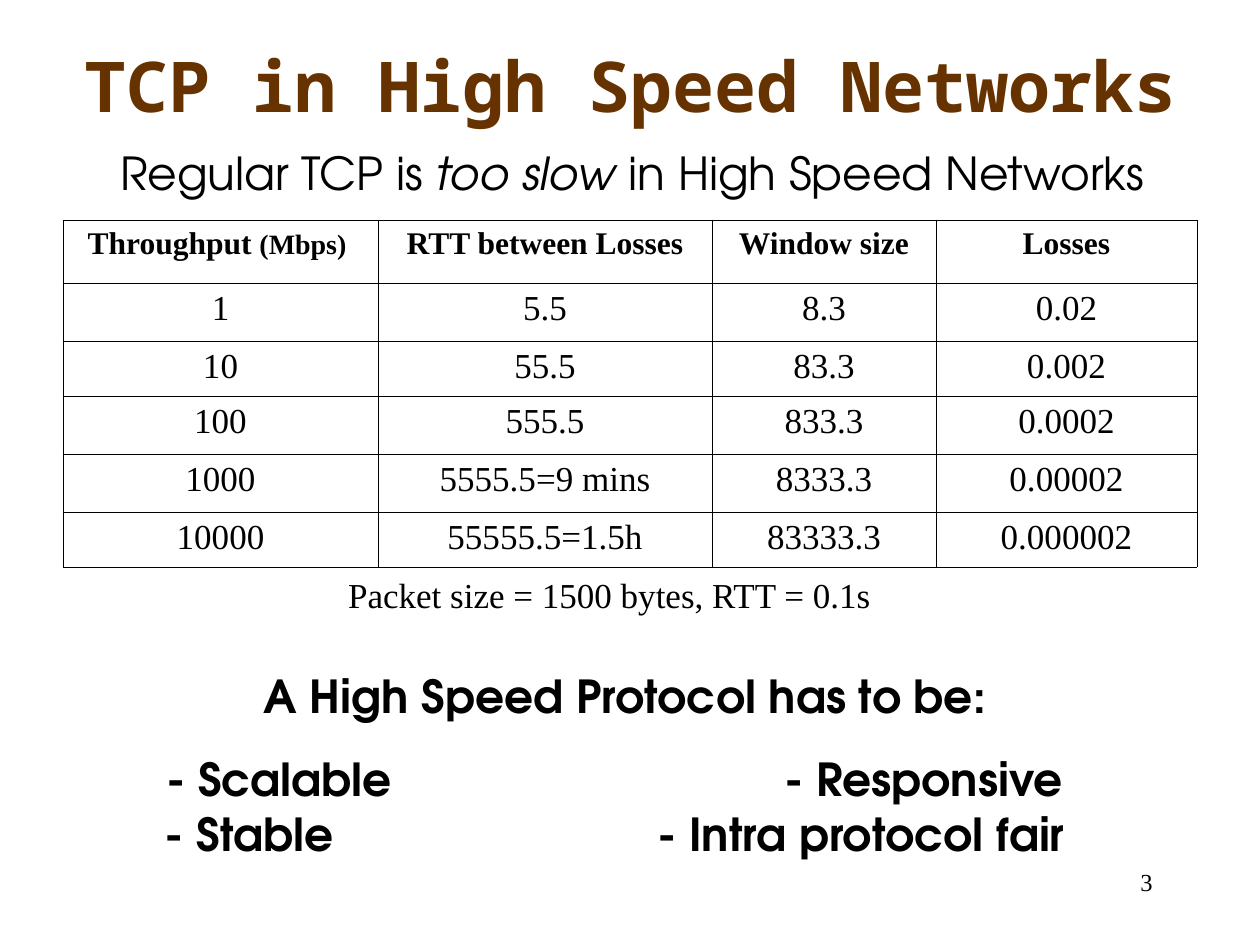
from lxml import etree
from pptx import Presentation
from pptx.dml.color import RGBColor
from pptx.enum.text import MSO_ANCHOR, PP_ALIGN
from pptx.oxml.ns import qn
from pptx.util import Pt

LEFT, CENTER, RIGHT = PP_ALIGN.LEFT, PP_ALIGN.CENTER, PP_ALIGN.RIGHT
MIDDLE, TOP = MSO_ANCHOR.MIDDLE, MSO_ANCHOR.TOP
TITLE_ONLY = 5
PX_PER_INCH = 126
MONO, SANS, SERIF = "Noto Sans Mono", "TeX Gyre Adventor", "Times New Roman"
BROWN, BLACK = "663300", "000000"
INSET = 13  # side margin of a text frame

COLUMN_WIDTHS = [315, 334, 224, 261]
ROW_HEIGHTS = [63, 58, 55, 58, 58, 55]
HEADERS = [
    [("Throughput ", 18), ("(Mbps) ", 16)],
    [("RTT between Losses", 18)],
    [("Window size", 18)],
    [("Losses", 18)],
]
MEASUREMENTS = [
    ["1", "5.5", "8.3", "0.02"],
    ["10", "55.5", "83.3", "0.002"],
    ["100", "555.5", "833.3", "0.0002"],
    ["1000", "5555.5=9 mins", "8333.3", "0.00002"],
    ["10000", "55555.5=1.5h", "83333.3", "0.000002"],
]


def px(length):
    return round(length * 914400 / PX_PER_INCH)


def rgb(color):
    return RGBColor.from_string(color)


def add_run(paragraph, text, size, font, color=BLACK, bold=False, italic=False):
    run = paragraph.add_run()
    run.text = text
    run.font.size = Pt(size)
    run.font.name = font
    run.font.bold = bold
    run.font.italic = italic
    run.font.color.rgb = rgb(color)


def add_text_frame(slide, box, align=LEFT):
    frame = slide.shapes.add_textbox(*map(px, box)).text_frame
    frame.word_wrap = True
    frame.paragraphs[0].alignment = align
    return frame


def set_tabs(paragraph, positions):
    tabs = etree.SubElement(paragraph._p.get_or_add_pPr(), qn("a:tabLst"))
    for position in positions:
        etree.SubElement(tabs, qn("a:tab"), pos=str(px(position - INSET)), algn="l")


def set_borders(cell):
    properties = cell._tc.get_or_add_tcPr()
    for index, side in enumerate(("a:lnL", "a:lnR", "a:lnT", "a:lnB")):
        line = etree.Element(qn(side), w=str(Pt(0.45)))
        fill = etree.SubElement(line, qn("a:solidFill"))
        etree.SubElement(fill, qn("a:srgbClr"), val=BLACK)
        properties.insert(index, line)


def place_title(slide, box):
    title = slide.shapes.title
    title.left, title.top, title.width, title.height = map(px, box)
    frame = title.text_frame
    frame.word_wrap = True
    frame.vertical_anchor = MIDDLE
    frame.paragraphs[0].alignment = CENTER
    add_run(frame.paragraphs[0], "TCP in High Speed Networks", 40, MONO, BROWN, bold=True)


def place_claim(slide, box):
    claim = add_text_frame(slide, box, CENTER).paragraphs[0]
    add_run(claim, "Regular TCP is ", 26, SANS)
    add_run(claim, "too slow", 26, SANS, italic=True)
    add_run(claim, " in High Speed Networks", 26, SANS)


def place_measurements(slide, left, top):
    # Every row is a list of cells, every cell a list of (text, size) runs
    rows = [HEADERS] + [[[(value, 20)] for value in row] for row in MEASUREMENTS]
    box = (left, top, sum(COLUMN_WIDTHS), sum(ROW_HEIGHTS))
    table = slide.shapes.add_table(len(rows), len(HEADERS), *map(px, box)).table
    table.first_row = table.horz_banding = False
    for column, width in zip(table.columns, COLUMN_WIDTHS):
        column.width = px(width)
    for row, height in zip(table.rows, ROW_HEIGHTS):
        row.height = px(height)
    for r, row in enumerate(rows):
        for c, runs in enumerate(row):
            cell = table.cell(r, c)
            cell.fill.background()
            cell.vertical_anchor = TOP
            set_borders(cell)
            paragraph = cell.text_frame.paragraphs[0]
            paragraph.alignment = CENTER
            for text, size in runs:
                add_run(paragraph, text, size, SERIF, bold=r == 0)


def place_conditions(slide, box):
    conditions = add_text_frame(slide, box, CENTER).paragraphs[0]
    add_run(conditions, "Packet size = 1500 bytes, RTT = 0.1s", 20, SERIF)


def place_requirements(slide, box):
    # Each line: text, tab stops, space before in points
    lines = [
        ("\tA High Speed Protocol has to be:", [264], 0),
        ("\t- Scalable\t- Responsive", [167, 785], 16.2),
        ("\t- Stable\t- Intra protocol fair", [165, 658], 0),
    ]
    frame = add_text_frame(slide, box)
    for index, (text, stops, space) in enumerate(lines):
        line = frame.add_paragraph() if index else frame.paragraphs[0]
        line.space_before = Pt(space)
        set_tabs(line, stops)
        add_run(line, text, 26, SANS, bold=True)


def place_page_number(slide, box):
    add_run(add_text_frame(slide, box, RIGHT).paragraphs[0], "3", 14, SERIF)


def main():
    deck = Presentation()
    deck.slide_width, deck.slide_height = px(1260), px(945)
    slide = deck.slides.add_slide(deck.slide_layouts[TITLE_ONLY])
    place_title(slide, (0, 11, 1260, 146))
    place_claim(slide, (31, 139, 1203, 70))
    place_measurements(slide, 63, 220)
    place_conditions(slide, (305, 567, 609, 55))
    place_requirements(slide, (0, 662, 1260, 206))
    place_page_number(slide, (903, 861, 262, 63))
    deck.save("out.pptx")


if __name__ == "__main__":
    main()
